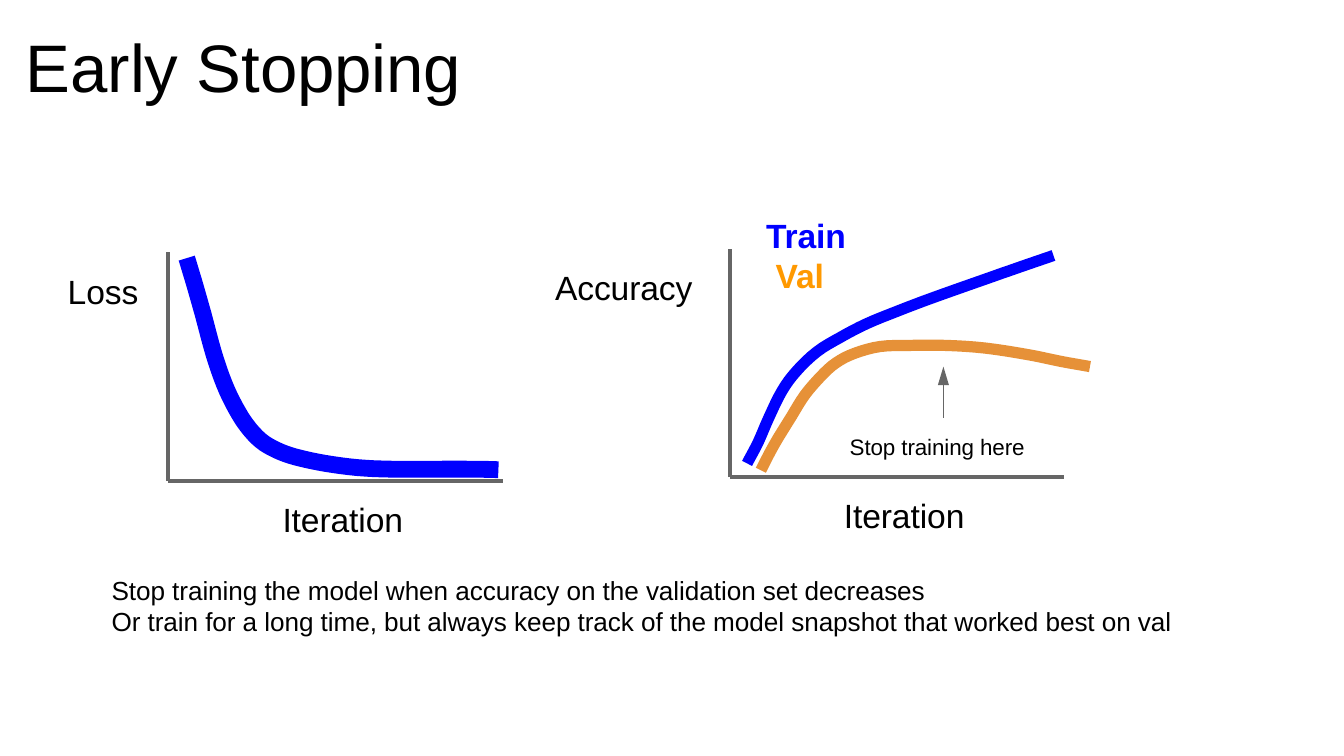
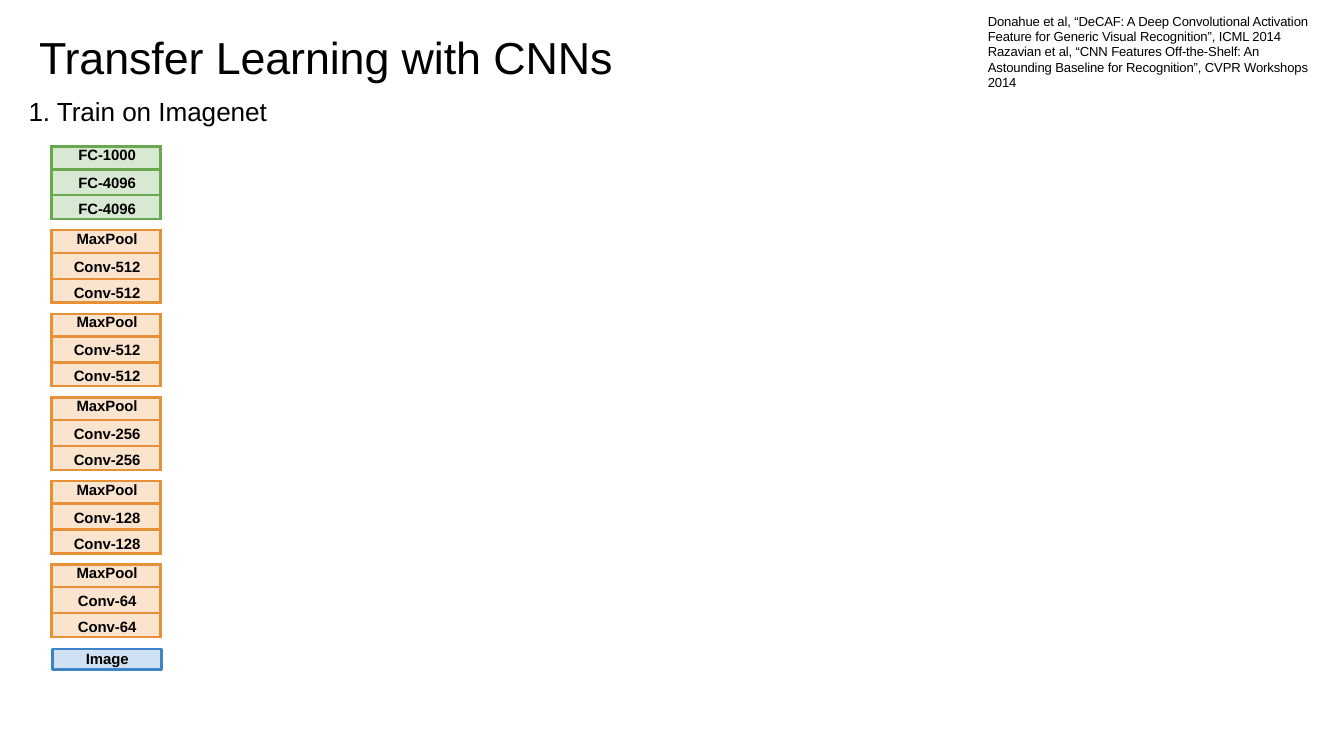
from lxml import etree
from pptx import Presentation
from pptx.dml.color import RGBColor
from pptx.enum.shapes import MSO_CONNECTOR, MSO_SHAPE
from pptx.enum.text import MSO_ANCHOR, PP_ALIGN
from pptx.oxml.ns import qn
from pptx.util import Cm, Pt

STRAIGHT = MSO_CONNECTOR.STRAIGHT
RECT = MSO_SHAPE.RECTANGLE
TOP = MSO_ANCHOR.TOP
CENTER, LEFT = PP_ALIGN.CENTER, PP_ALIGN.LEFT

FONT = "Arial"
BLACK, GRAY, BLUE = "000000", "666666", "0000FF"
ORANGE, AMBER = "E69138", "FF9900"
ORANGE_FILL = "FBE4CD"
GREEN, GREEN_FILL = "69A84F", "D8E9D3"
IMAGE_LINE, IMAGE_FILL = "3D85C6", "CFE1F2"


def rgb(color):
    return RGBColor.from_string(color)


def write(tf, lines, size, color=BLACK, bold=False, align=LEFT, spacing=None):
    """Fill a text frame with one paragraph per line."""
    style = {"name": FONT, "size": Pt(size), "bold": bold}
    for i, line in enumerate(lines):
        p = tf.paragraphs[0] if i == 0 else tf.add_paragraph()
        p.alignment = align
        if spacing:
            p.line_spacing = Pt(spacing)
        r = p.add_run()
        r.text = line
        for key, value in style.items():
            setattr(r.font, key, value)
        r.font.color.rgb = rgb(color)
        r.font._element.set("spc", "-5")


prs = Presentation()
prs.slide_width, prs.slide_height = Cm(25.4), Cm(14.29)
stopping, transfer = [prs.slides.add_slide(prs.slide_layouts[6]) for _ in range(2)]

# Text boxes: slide, left, top, width, height, size, lines, line spacing, wrap
TEXTS = [
    (stopping, 0.46, 0.41, 8.31, 1.6, 36, ["Early Stopping"], None, False),
    (stopping, 5.31, 9.37, 2.36, 0.84, 18, ["Iteration"], None, False),
    (stopping, 1.25, 5.06, 1.42, 0.84, 18, ["Loss"], None, False),
    (stopping, 15.92, 9.29, 2.36, 0.84, 18, ["Iteration"], None, False),
    (stopping, 10.46, 4.98, 2.67, 0.84, 18, ["Accuracy"], None, False),
    (stopping, 16.03, 8.13, 3.4, 0.58, 12, ["Stop training here"], None, False),
    (stopping, 2.08, 10.8, 20.19, 1.24, 14, [
        "Stop training the model when accuracy on the validation set decreases",
        "Or train for a long time, but always keep track of the model snapshot "
        "that worked best on val"], 16.6, False),
    (transfer, 0.71, 0.51, 10.97, 1.09, 24, ["Transfer Learning with CNNs"], None, False),
    (transfer, 0.51, 1.75, 4.62, 0.66, 14, ["1. Train on Imagenet"], None, False),
    (transfer, 18.64, 0.2, 6.3, 1.52, 7, [
        "Donahue et al, “DeCAF: A Deep Convolutional Activation Feature for "
        "Generic Visual Recognition”, ICML 2014",
        "Razavian et al, “CNN Features Off-the-Shelf: An Astounding Baseline "
        "for Recognition”, CVPR Workshops 2014"], 8.2, True),
    (stopping, 14.45, 4.0, 1.63, 0.8, 18, ["Train"], None, False),
    (stopping, 14.63, 4.76, 1.4, 0.8, 18, ["Val"], None, False),
]
LEGEND = {"Train": BLUE, "Val": AMBER}
INSETS = {"margin_left": Cm(0.03), "margin_top": Cm(0.06), "margin_right": 0,
          "margin_bottom": 0, "vertical_anchor": TOP}

for s, x, y, w, h, size, lines, spacing, wrap in TEXTS:
    tf = s.shapes.add_textbox(Cm(x), Cm(y), Cm(w), Cm(h)).text_frame
    for key, value in INSETS.items():
        setattr(tf, key, value)
    tf.word_wrap = wrap
    color = LEGEND.get(lines[0], BLACK)
    write(tf, lines, size, color, lines[0] in LEGEND, LEFT, spacing)

# Axes of both plots and the arrow to the stopping point
AXIS_W, AXIS_H = 6.32, 4.32
lines = [(17.83, 7.9, 17.83, 6.93, 0.75, True)]
for x, y in [(3.18, 9.09), (13.79, 9.02)]:
    lines.append((x, y, x, y - AXIS_H, 2.25, False))
    lines.append((x, y, x + AXIS_W, y, 2.25, False))
for x1, y1, x2, y2, width, arrow in lines:
    c = stopping.shapes.add_connector(STRAIGHT, Cm(x1), Cm(y1), Cm(x2), Cm(y2))
    c.line.color.rgb = rgb(GRAY)
    c.line.width = Pt(width)
    if arrow:
        etree.SubElement(c.line._get_or_add_ln(), qn("a:tailEnd"),
                         type="triangle", w="med", len="lg")
    etree.SubElement(c._element.spPr, qn("a:effectLst"))

CURVES = [
    (BLUE, 9, [(3.53, 4.88), (3.66, 5.31), (3.84, 5.94), (4.04, 6.68), (4.24, 7.26),
               (4.45, 7.7), (4.67, 8.05), (4.93, 8.33), (5.23, 8.51), (5.59, 8.64),
               (6.15, 8.76), (6.76, 8.84), (7.39, 8.87), (8.18, 8.87), (8.97, 8.87),
               (9.42, 8.88)]),
    (BLUE, 6, [(14.12, 8.76), (14.33, 8.36), (14.53, 7.9), (14.78, 7.39), (15.06, 7.01),
               (15.44, 6.65), (15.88, 6.38), (16.38, 6.12), (16.97, 5.88), (17.6, 5.64),
               (18.39, 5.36), (19.1, 5.11), (19.91, 4.83)]),
    (ORANGE, 6, [(14.38, 8.89), (14.63, 8.41), (14.96, 7.87), (15.21, 7.47), (15.52, 7.11),
                 (15.8, 6.86), (16.15, 6.68), (16.64, 6.55), (17.2, 6.53), (17.88, 6.53),
                 (18.62, 6.58), (19.46, 6.71), (20.04, 6.83), (20.6, 6.93)]),
]
STEPS = 4
for color, width, knots in CURVES:
    # Catmull-Rom interpolation through the knots
    ends = [knots[0]] + knots + [knots[-1]]
    points = []
    for quad in zip(ends, ends[1:], ends[2:], ends[3:]):
        for k in range(1, STEPS + 1):
            t = k / STEPS
            points.append([
                Cm(b + t * (c - a) / 2 + t**2 * (2 * a - 5 * b + 4 * c - d) / 2
                   + t**3 * (3 * b - a - 3 * c + d) / 2)
                for a, b, c, d in zip(*quad)])
    fb = stopping.shapes.build_freeform(Cm(knots[0][0]), Cm(knots[0][1]))
    fb.add_line_segments(points, close=False)
    sp = fb.convert_to_shape()
    sp.shadow.inherit = False
    sp.fill.background()
    sp.line.color.rgb = rgb(color)
    sp.line.width = Pt(width)

# Network layers, from output to input
BLOCKS = [["FC-1000", "FC-4096", "FC-4096"]]
BLOCKS += [["MaxPool"] + [f"Conv-{n}"] * 2 for n in (512, 512, 256, 128, 64)]
ROW_HEIGHTS = [0.43, 0.49, 0.43]
BLOCK_X, BLOCK_Y, BLOCK_W, BLOCK_STEP = 0.97, 2.77, 2.06, 1.58

for i, block in enumerate(BLOCKS):
    line, fill = (GREEN, GREEN_FILL) if i == 0 else (ORANGE, ORANGE_FILL)
    tbl = transfer.shapes.add_table(
        len(block), 1, Cm(BLOCK_X), Cm(BLOCK_Y + i * BLOCK_STEP),
        Cm(BLOCK_W), Cm(sum(ROW_HEIGHTS))).table
    tbl.first_row = tbl.horz_banding = False
    for j, (layer, height) in enumerate(zip(block, ROW_HEIGHTS)):
        tbl.rows[j].height = Cm(height)
        cell = tbl.cell(j, 0)
        cell.margin_left, cell.margin_right, cell.margin_bottom = Cm(0.05), 0, 0
        cell.margin_top = Cm(0.11 if j else 0.01)
        cell.vertical_anchor = TOP
        cell.fill.solid()
        cell.fill.fore_color.rgb = rgb(fill)
        write(cell.text_frame, [layer], 8, bold=True, align=CENTER)
        tcPr = cell._tc.get_or_add_tcPr()
        for k, side in enumerate(["a:lnL", "a:lnR", "a:lnT", "a:lnB"]):
            ln = etree.Element(qn(side), w=str(Pt(1.5)))
            solid = etree.SubElement(ln, qn("a:solidFill"))
            etree.SubElement(solid, qn("a:srgbClr"), val=line)
            tcPr.insert(k, ln)

sp = transfer.shapes.add_shape(RECT, Cm(1), Cm(12.27), Cm(BLOCK_W), Cm(0.39))
sp.shadow.inherit = False
sp.fill.solid()
sp.fill.fore_color.rgb = rgb(IMAGE_FILL)
sp.line.color.rgb = rgb(IMAGE_LINE)
sp.line.width = Pt(1.5)
tf = sp.text_frame
for key, value in INSETS.items():
    setattr(tf, key, value)
tf.margin_left, tf.margin_top = 0, Cm(0.01)
write(tf, ["Image"], 8, bold=True, align=CENTER)

prs.save("out.pptx")
